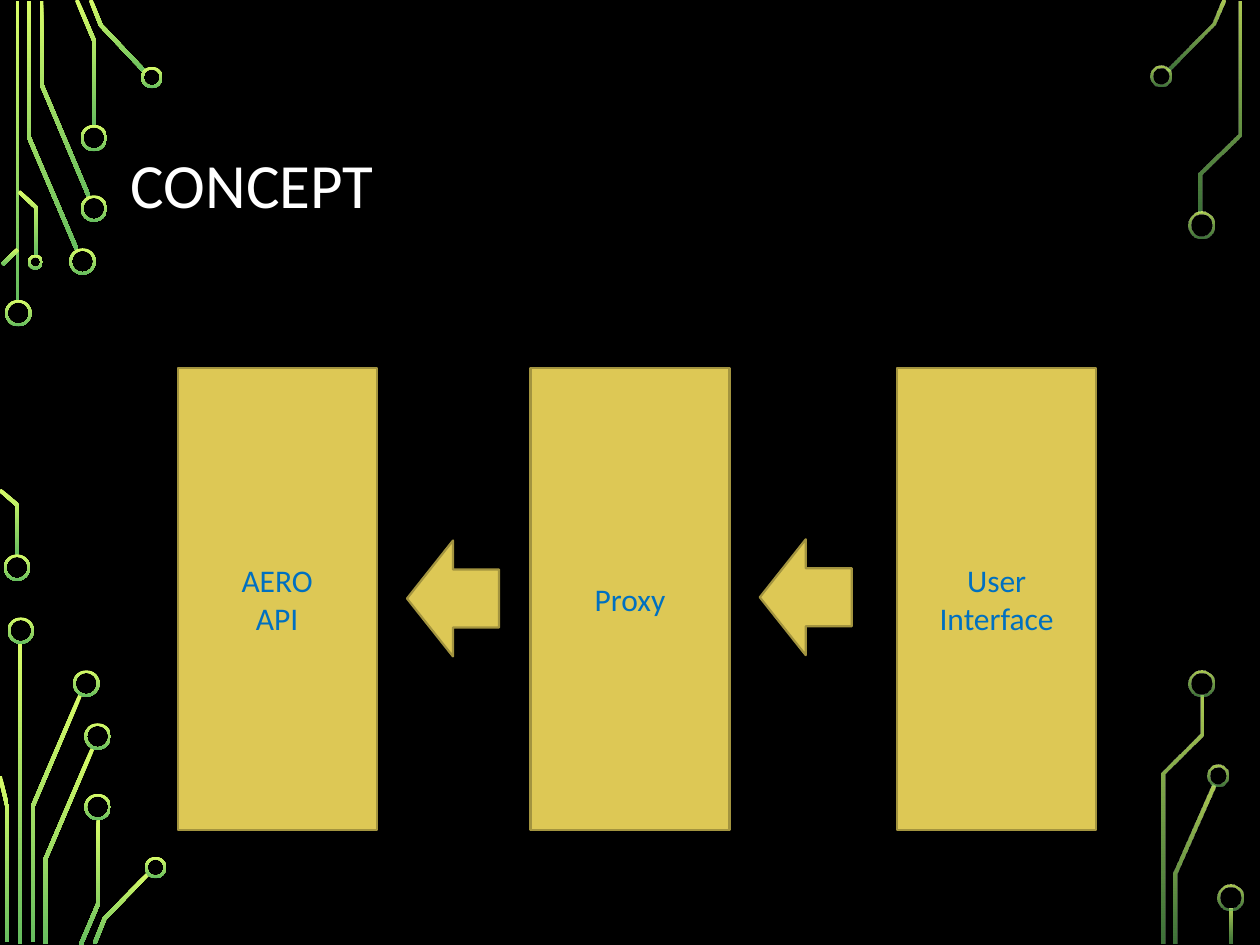
from dataclasses import dataclass
from math import hypot

from lxml.etree import SubElement
from pptx import Presentation
from pptx.dml.color import RGBColor
from pptx.enum.shapes import MSO_SHAPE
from pptx.enum.text import MSO_ANCHOR, PP_ALIGN
from pptx.oxml.ns import qn
from pptx.shapes.autoshape import Shape
from pptx.slide import Slide
from pptx.util import Inches, Pt

BLACK = RGBColor(0x00, 0x00, 0x00)
WHITE = RGBColor(0xFF, 0xFF, 0xFF)
LIME = RGBColor(0xD8, 0xFC, 0x68)
GREEN = RGBColor(0x66, 0xBD, 0x5F)
GOLD = RGBColor(0xDD, 0xC8, 0x55)
DARK_GOLD = RGBColor(0xA3, 0x94, 0x3F)
BLUE = RGBColor(0x00, 0x70, 0xC0)
FONT = "Calibri"
TRACE_WIDTH = 0.03
RING_WIDTH = 0.02

Point = tuple[float, float]


@dataclass(frozen=True)
class Ring:
    left: float
    top: float
    size: float = 0.21


@dataclass(frozen=True)
class Circuit:
    """Traces given by their centre lines, rings by their corners."""
    traces: list[list[Point]]
    rings: list[Ring]
    opacities: tuple[int, int] = (100, 100)


@dataclass(frozen=True)
class Block:
    left: float
    lines: list[str]


@dataclass(frozen=True)
class Arrow:
    left: float
    top: float


LEFT_CIRCUIT = Circuit(
    traces=[
        [(0.14, 0.01), (0.14, 2.4)],
        [(0.23, 0.01), (0.23, 1.09), (0.61, 1.98)],
        [(0.33, 0.01), (0.33, 0.67), (0.71, 1.57)],
        [(0.61, 0), (0.75, 0.33), (0.75, 1)],
        [(0.72, 0), (0.8, 0.2), (1.15, 0.57)],
        [(0.02, 2.1), (0.14, 1.98)],
        [(0, 3.89), (0.14, 4.01), (0.14, 4.41)],
        [(0.15, 1.52), (0.29, 1.65), (0.29, 2.03)],
        [(0.16, 5.1), (0.16, 7.49)],
        [(0.26, 7.48), (0.26, 6.4), (0.64, 5.51)],
        [(0.06, 7.48), (0.06, 6.41), (0, 6.16)],
        [(0.36, 7.49), (0.36, 6.82), (0.74, 5.93)],
        [(0.64, 7.5), (0.78, 7.17), (0.78, 6.5)],
        [(0.75, 7.49), (0.83, 7.29), (1.18, 6.93)],
    ],
    rings=[
        Ring(0.04, 2.38), Ring(0.03, 4.4), Ring(0.55, 1.97), Ring(0.64, 1.55),
        Ring(0.64, 0.99), Ring(1.12, 0.53, 0.17), Ring(0.22, 2.02, 0.12),
        Ring(0.06, 4.9), Ring(0.58, 5.32), Ring(0.67, 5.74), Ring(0.67, 6.3),
        Ring(1.15, 6.8, 0.17),
    ],
)
RIGHT_CIRCUIT = Circuit(
    traces=[
        [(9.71, 0), (9.63, 0.19), (9.27, 0.56)],
        [(9.33, 7.49), (9.33, 6.93), (9.63, 6.23)],
        [(9.84, 0.01), (9.84, 1.07), (9.53, 1.38), (9.53, 1.69)],
        [(9.23, 7.49), (9.23, 6.14), (9.54, 5.83), (9.54, 5.52)],
        [(9.77, 7.21), (9.77, 7.49)],
    ],
    rings=[
        Ring(9.13, 0.52, 0.17), Ring(9.43, 1.68), Ring(9.58, 6.07, 0.17),
        Ring(9.43, 5.32), Ring(9.66, 7.02),
    ],
    opacities=(80, 60),
)
BLOCKS = [
    Block(7.12, ["User Interface"]),
    Block(4.21, ["Proxy"]),
    Block(1.41, ["AERO", "API"]),
]
ARROWS = [Arrow(3.23, 4.29), Arrow(6.03, 4.28)]


def ribbon_side(points: list[Point], offset: float) -> list[Point]:
    """Shift a centre line sideways, with mitred corners."""
    normals = []
    for (x1, y1), (x2, y2) in zip(points, points[1:]):
        length = hypot(x2 - x1, y2 - y1)
        normals.append(((y1 - y2) / length, (x2 - x1) / length))
    side = []
    for (x, y), before, after in zip(points, normals[:1] + normals, normals + normals[-1:]):
        reach = offset / (1 + before[0] * after[0] + before[1] * after[1])
        side.append((x + reach * (before[0] + after[0]), y + reach * (before[1] + after[1])))
    return side


def paint_circuit_part(shape: Shape, opacities: tuple[int, int]) -> None:
    shape.shadow.inherit = False
    shape.line.fill.background()
    shape.fill.gradient()
    shape.fill.gradient_angle = 270
    for stop, color in zip(shape.fill.gradient_stops, (LIME, GREEN)):
        stop.color.rgb = color
    for color_element, opacity in zip(shape._element.spPr.iter(qn("a:srgbClr")), opacities):
        if opacity < 100:
            SubElement(color_element, qn("a:alpha"), val=str(opacity * 1000))


def draw_trace(slide: Slide, points: list[Point], opacities: tuple[int, int]) -> None:
    half = TRACE_WIDTH / 2
    (x, top), (end_x, bottom) = points[0], points[-1]
    if len(points) == 2 and x == end_x:
        trace = slide.shapes.add_shape(
            MSO_SHAPE.RECTANGLE, Inches(x - half), Inches(top),
            Inches(TRACE_WIDTH), Inches(bottom - top))
    else:
        outline = ribbon_side(points, half) + ribbon_side(points, -half)[::-1]
        corners = [(Inches(x), Inches(y)) for x, y in outline]
        builder = slide.shapes.build_freeform(*corners[0])
        builder.add_line_segments(corners[1:], close=True)
        trace = builder.convert_to_shape()
    paint_circuit_part(trace, opacities)


def draw_circuit(slide: Slide, circuit: Circuit) -> None:
    for points in circuit.traces:
        draw_trace(slide, points, circuit.opacities)
    for ring in circuit.rings:
        donut = slide.shapes.add_shape(
            MSO_SHAPE.DONUT, Inches(ring.left), Inches(ring.top),
            Inches(ring.size), Inches(ring.size))
        donut.adjustments[0] = RING_WIDTH / ring.size
        paint_circuit_part(donut, circuit.opacities)


def paint_gold(shape: Shape) -> None:
    shape.shadow.inherit = False
    shape.fill.solid()
    shape.fill.fore_color.rgb = GOLD
    shape.line.color.rgb = DARK_GOLD
    shape.line.width = Pt(1.25)


def write_lines(shape: Shape, lines: list[str], size: int, color: RGBColor,
                alignment: PP_ALIGN, line_spacing: float = 1.0) -> None:
    frame = shape.text_frame
    frame.word_wrap = True
    frame.vertical_anchor = MSO_ANCHOR.MIDDLE
    frame.text = "\n".join(lines)
    for para in frame.paragraphs:
        para.alignment = alignment
        para.line_spacing = line_spacing
        para.font.name = FONT
        para.font.size = Pt(size)
        para.font.color.rgb = color


def draw_block(slide: Slide, block: Block) -> None:
    box = slide.shapes.add_shape(
        MSO_SHAPE.RECTANGLE, Inches(block.left), Inches(2.92), Inches(1.58), Inches(3.67))
    paint_gold(box)
    write_lines(box, block.lines, 18, BLUE, PP_ALIGN.CENTER)


def draw_arrow(slide: Slide, arrow: Arrow) -> None:
    shape = slide.shapes.add_shape(
        MSO_SHAPE.RIGHT_ARROW, Inches(arrow.left), Inches(arrow.top), Inches(0.73), Inches(0.92))
    shape.rotation = 180
    paint_gold(shape)


def main() -> None:
    deck = Presentation()
    deck.slide_width, deck.slide_height = Inches(10), Inches(7.5)
    slide = deck.slides.add_slide(deck.slide_layouts[6])
    slide.background.fill.solid()
    slide.background.fill.fore_color.rgb = BLACK
    for circuit in (LEFT_CIRCUIT, RIGHT_CIRCUIT):
        draw_circuit(slide, circuit)
    title = slide.shapes.add_textbox(Inches(0.94), Inches(0.68), Inches(8.12), Inches(1.62))
    write_lines(title, ["CONCEPT"], 36, WHITE, PP_ALIGN.LEFT, 0.9)
    for block in BLOCKS:
        draw_block(slide, block)
    for arrow in ARROWS:
        draw_arrow(slide, arrow)
    deck.save("out.pptx")


if __name__ == "__main__":
    main()
